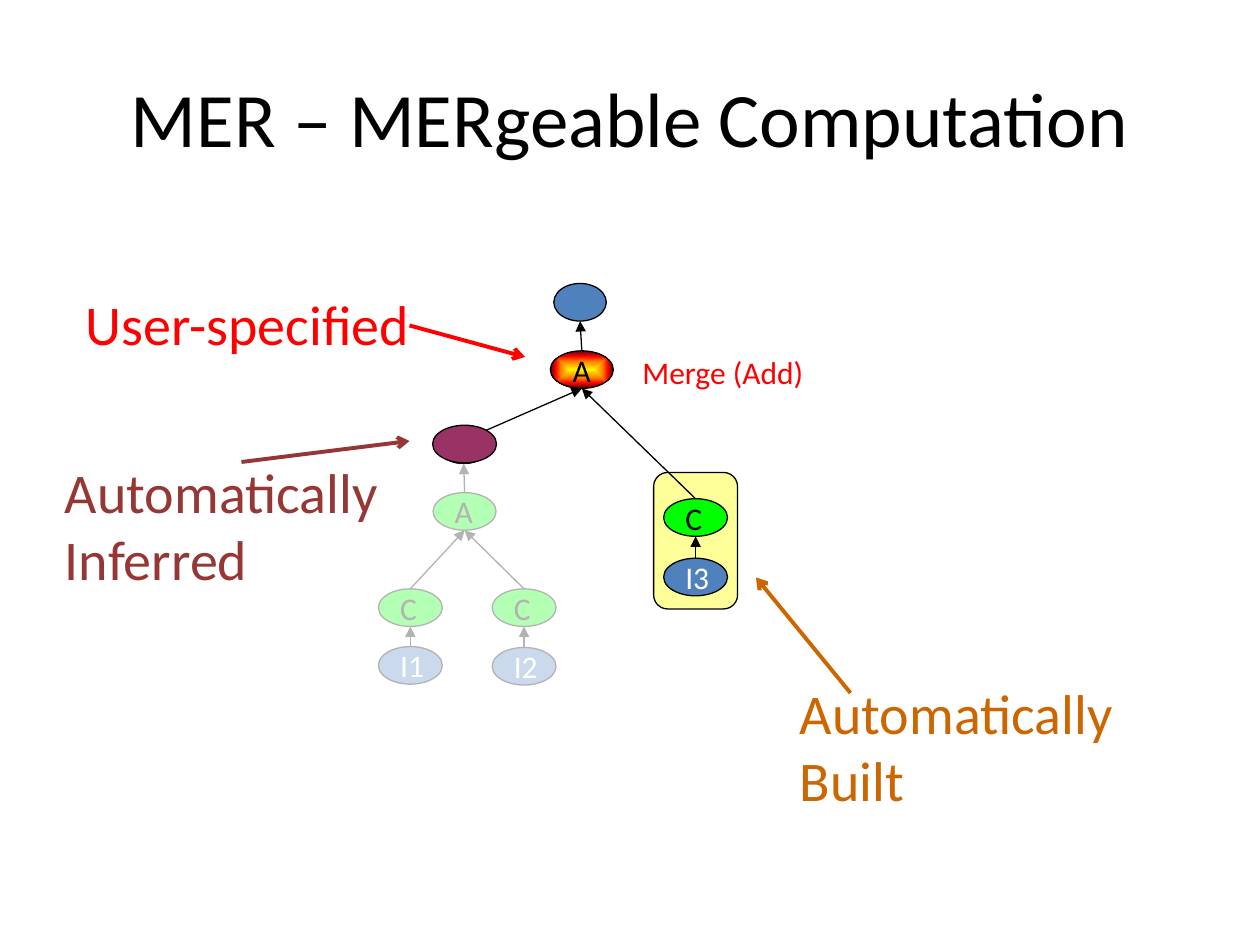
import pptx
import pptx.util
import pptx.dml.color
import pptx.oxml
import pptx.oxml.ns
from pptx.enum.shapes import MSO_SHAPE, MSO_CONNECTOR
from pptx.enum.text import MSO_ANCHOR, PP_ALIGN

Pt = pptx.util.Pt
FONT = "Calibri"
BLACK, WHITE, RED = "000000", "FFFFFF", "FF0000"
BLUE, GREEN, PLUM = "4F81BD", "00FF00", "993366"
BROWN, AMBER, CREAM = "953735", "CC6600", "FFFF99"
TALL = 21.5  # height of every node

# Nodes: name -> (label, centre x, top, width, fill, text colour)
OLD = {
    "i1": ("I1", 234.5, 369.5, 36.5, BLUE, WHITE),
    "c1": ("C", 234.5, 336.5, 36.5, GREEN, BLACK),
    "i2": ("I2", 299.5, 370, 36.5, BLUE, WHITE),
    "c2": ("C", 299.5, 336.5, 36.5, GREEN, BLACK),
    "sum": ("A", 265.5, 281.5, 36, GREEN, BLACK),
    "root": ("", 265, 243.5, 30, BLUE, WHITE),
}
NEW = {
    "i3": ("I3", 397.5, 319, 36.5, BLUE, WHITE),
    "c3": ("C", 397.5, 285, 36.5, GREEN, BLACK),
    "merge": ("A", 332.5, 200.5, 36, None, BLACK),
    "top": ("", 331.5, 162, 30, BLUE, WHITE),
}
CACHE = {"cache": ("", 265.5, 243, 36.5, PLUM, WHITE)}
OLDLINKS = [("i1", "c1"), ("i2", "c2"), ("c1", "sum"), ("c2", "sum"),
            ("sum", "root")]
NEWLINKS = [("i3", "c3"), ("c3", "merge"), ("merge", "top")]
FLAME = [(0, "FFF200"), (45, "FF7A00"), (70, "FF0300"), (100, "4D0808")]

# Captions: text, box, size, colour
NOTES = [
    ("Merge (Add)", (360, 198, 108, 29), 18, RED),
    ("Automatically Inferred", (30, 258, 228, 85), 32, BROWN),
    ("Automatically Built", (450, 384, 210, 85), 32, AMBER),
    ("User-specified", (42, 162, 228, 46), 32, RED),
]
# Pointers: start, end, colour
HINTS = [
    ((138, 264), (234, 252), BROWN),
    ((486, 396), (432, 330), AMBER),
    ((234, 186), (300, 204), RED),
]

deck = pptx.Presentation()
deck.slide_width, deck.slide_height = Pt(720), Pt(540)
slide = deck.slides.add_slide(deck.slide_layouts[6])
shapes = slide.shapes


def color(code):
    return pptx.dml.color.RGBColor.from_string(code)


def style(frame, size, ink, align):
    for para in frame.paragraphs:
        para.alignment = align
        for run in para.runs:
            run.font.name, run.font.size = FONT, Pt(size)
            run.font.color.rgb = color(ink)


def write(text, box, size, ink, align=PP_ALIGN.LEFT, anchor=MSO_ANCHOR.TOP):
    frame = shapes.add_textbox(*map(Pt, box)).text_frame
    frame.word_wrap = True
    frame.vertical_anchor = anchor
    frame.text = text
    style(frame, size, ink, align)


def block(kind, box, fill, edge=BLACK):
    shape = shapes.add_shape(kind, *map(Pt, box))
    shape.shadow.inherit = False
    if fill:
        shape.fill.solid()
        shape.fill.fore_color.rgb = color(fill)
    if edge:
        shape.line.color.rgb = color(edge)
        shape.line.width = Pt(0.75)
    else:
        shape.line.fill.background()
    return shape


def glow(shape):
    """Fill from the centre outwards with the flame colours."""
    stops = "".join(f'<a:gs pos="{pos * 1000}"><a:srgbClr val="{code}"/></a:gs>'
                    for pos, code in FLAME)
    grad = pptx.oxml.parse_xml(
        f'<a:gradFill {pptx.oxml.ns.nsdecls("a")} rotWithShape="1">'
        f'<a:gsLst>{stops}</a:gsLst><a:path path="shape"><a:fillToRect '
        'l="50000" t="50000" r="50000" b="50000"/></a:path></a:gradFill>')
    shape.element.spPr.find(pptx.oxml.ns.qn("a:prstGeom")).addnext(grad)


def node(label, mid, top, wide, fill, ink):
    shape = block(MSO_SHAPE.OVAL, (mid - wide / 2, top, wide, TALL), fill)
    if not fill:
        glow(shape)
    if label:
        frame = shape.text_frame
        frame.word_wrap = False
        frame.vertical_anchor = MSO_ANCHOR.MIDDLE
        frame.text = label
        style(frame, 18, ink, PP_ALIGN.LEFT if fill else PP_ALIGN.CENTER)


def arrow(start, end, ink=BLACK, width=0.75, head="triangle"):
    line = shapes.add_connector(MSO_CONNECTOR.STRAIGHT, *map(Pt, start + end))
    line.line.color.rgb = color(ink)
    line.line.width = Pt(width)
    tip = pptx.oxml.parse_xml(
        f'<a:tailEnd {pptx.oxml.ns.nsdecls("a")} type="{head}"/>')
    line.line._get_or_add_ln().append(tip)
    line._element.spPr.append(pptx.oxml.parse_xml(
        f'<a:effectLst {pptx.oxml.ns.nsdecls("a")}/>'))


def foot(item):
    return item[1], item[2] + TALL


def tree(nodes, links):
    for item in nodes.values():
        node(*item)
    for child, parent in links:
        arrow(nodes[child][1:3], foot(nodes[parent]))


# Title
write("MER – MERgeable Computation", (36, 21.5, 648, 90), 44, BLACK,
      PP_ALIGN.CENTER, MSO_ANCHOR.MIDDLE)

# Earlier tree, faded by a translucent veil
tree(OLD, OLDLINKS)
veil = block(MSO_SHAPE.RECTANGLE, (192, 265, 168, 234), WHITE, None)
tint = veil.element.spPr.find(".//" + pptx.oxml.ns.qn("a:srgbClr"))
tint.append(pptx.oxml.parse_xml(
    f'<a:alpha {pptx.oxml.ns.nsdecls("a")} val="70000"/>'))

# New branch on its plate, merged with the cached result
block(MSO_SHAPE.ROUNDED_RECTANGLE, (373.5, 270, 48, 78), CREAM)
tree(NEW, NEWLINKS)
arrow((276.5, 246.5), foot(NEW["merge"]))
tree(CACHE, [])

# Captions and pointers
for note in NOTES:
    write(*note)
for start, end, ink in HINTS:
    arrow(start, end, ink, 2.25, "arrow")

deck.save("out.pptx")
